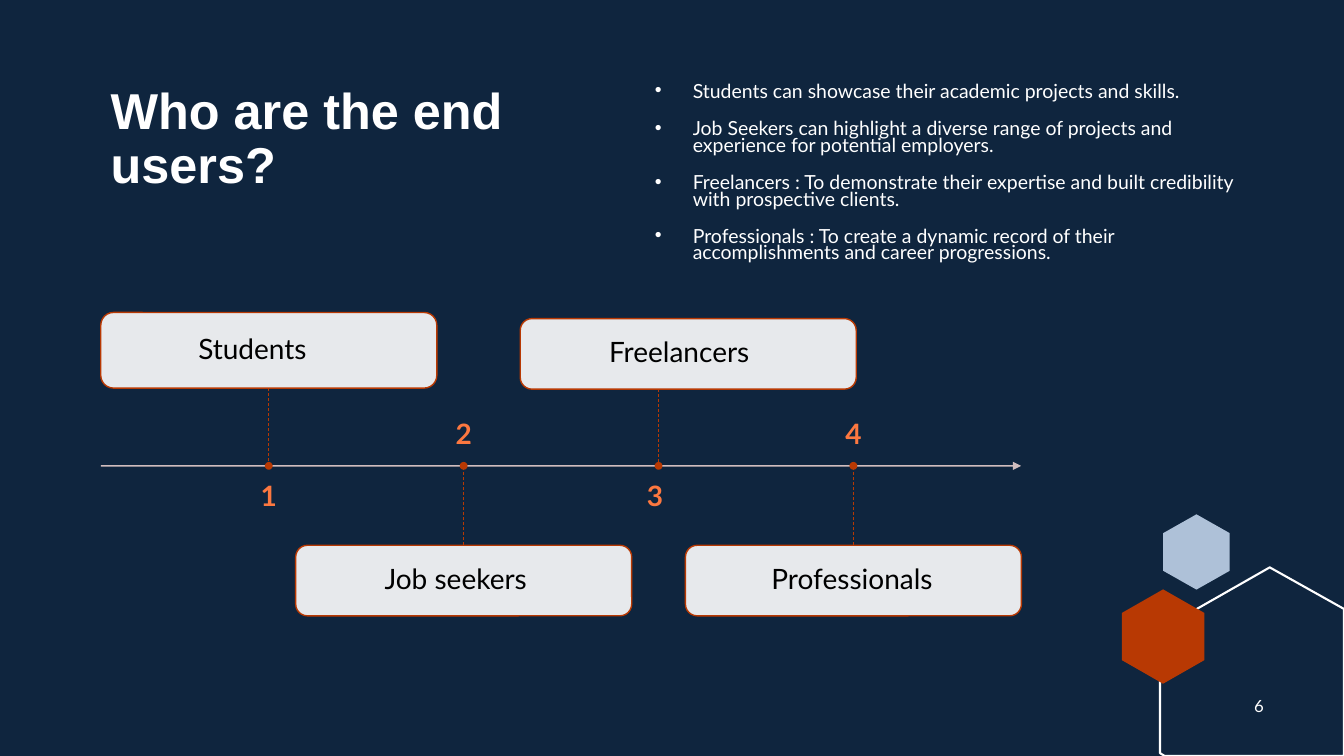
import pptx
import pptx.util
import pptx.dml.color
import pptx.enum.dml
import pptx.enum.shapes
import pptx.enum.text
import pptx.oxml
import pptx.oxml.ns

Pt = pptx.util.Pt
RGBColor = pptx.dml.color.RGBColor
Shape = pptx.enum.shapes.MSO_SHAPE
Align = pptx.enum.text.PP_ALIGN
Anchor = pptx.enum.text.MSO_ANCHOR
Dash = pptx.enum.dml.MSO_LINE

NAVY = RGBColor(0x0F, 0x25, 0x3E)
RUST = RGBColor(0xB8, 0x39, 0x03)
ORANGE = RGBColor(0xFC, 0x78, 0x40)
SKY = RGBColor(0xAE, 0xC1, 0xD8)
BLUSH = RGBColor(0xE6, 0xCE, 0xCC)
WHITE = RGBColor(0xFF, 0xFF, 0xFF)
BLACK = RGBColor(0x00, 0x00, 0x00)

BULLETS = [
    "Students can showcase their academic projects and skills.",
    "Job Seekers can highlight a diverse range of projects and experience for potential employers.",
    "Freelancers : To demonstrate their expertise and built credibility with prospective clients.",
    "Professionals : To create a dynamic record of their accomplishments and career progressions.",
]
# number, name, card top, card height, shift of card from its stop, text indent
STOPS = [
    ("1", "Students", 223.2, 54, 0, 67),
    ("2", "Job seekers", 389.5, 50.4, 0, 61),
    ("3 ", "Freelancers", 227.6, 50.4, 21.2, 61),
    ("4", "Professionals", 389.5, 50.4, 0, 59),
]
FIRST_STOP, STOP_GAP, AXIS_TOP = 192, 139.2, 332.8
CARD_WIDTH, NUMBER_WIDTH, DOT = 240, 211, 4.6


def add_xml(parent, tag, **attributes):
    child = pptx.oxml.parse_xml(f"<a:{tag} {pptx.oxml.ns.nsdecls('a')}/>")
    for name, value in attributes.items():
        child.set(name, value)
    parent.append(child)
    return child


def set_opacity(fill_parent, percent):
    color = fill_parent.find(".//" + pptx.oxml.ns.qn("a:srgbClr"))
    add_xml(color, "alpha", val=str(percent * 1000))


class Page:
    def __init__(self, deck):
        self.slide = deck.slides.add_slide(deck.slide_layouts[6])
        self.shapes = self.slide.shapes
        self.slide.background.fill.solid()
        self.slide.background.fill.fore_color.rgb = NAVY

    def paint(self, shape, fill=None, line=None, weight=1):
        shape.shadow.inherit = False
        if fill is None:
            shape.fill.background()
        else:
            shape.fill.solid()
            shape.fill.fore_color.rgb = fill
        if line is None:
            shape.line.fill.background()
        else:
            shape.line.color.rgb = line
            shape.line.width = Pt(weight)

    def set_text(self, shape, text, size, color, bold=False, font="Lato", align=Align.LEFT,
                 anchor=Anchor.TOP, spacing=0.9, margins=(7.2, 3.6, 7.2, 3.6)):
        """Fill a shape with text; margins run left, top, right, bottom."""
        frame = shape.text_frame
        frame.word_wrap = True
        frame.vertical_anchor = anchor
        (frame.margin_left, frame.margin_top,
         frame.margin_right, frame.margin_bottom) = map(Pt, margins)
        frame.text = text
        for para in frame.paragraphs:
            para.alignment = align
            para.line_spacing = spacing
            for span in para.runs:
                span.font.size = Pt(size)
                span.font.name = font
                span.font.bold = bold
                span.font.color.rgb = color
        return frame

    def text(self, left, top, width, height, text, size, color, **style):
        box = self.shapes.add_textbox(Pt(left), Pt(top), Pt(width), Pt(height))
        return self.set_text(box, text, size, color, **style)

    def bullets(self, left, top, width, height, items):
        frame = self.text(left, top, width, height, "\n".join(items), 13.9, WHITE, spacing=0.7)
        for para in frame.paragraphs:
            para.space_before = Pt(15)
            properties = para._p.get_or_add_pPr()
            properties.set("marL", str(Pt(27)))
            properties.set("indent", str(Pt(-27)))
            add_xml(properties, "buFont", typeface="Arial")
            add_xml(properties, "buChar", char="•")

    def outline(self, points, **style):
        corners = [(Pt(x), Pt(y)) for x, y in points]
        builder = self.shapes.build_freeform(*corners[0], scale=1)
        builder.add_line_segments(corners[1:], close=True)
        self.paint(builder.convert_to_shape(), **style)

    def hexagon(self, left, top, width, height, fill):
        middle, right = left + width / 2, left + width
        upper, lower = top + height / 4, top + height * 3 / 4
        self.outline([(middle, top), (right, upper), (right, lower),
                      (middle, top + height), (left, lower), (left, upper)], fill=fill)

    def line(self, start, end, color, weight, dash=None):
        connector = self.shapes.add_connector(
            pptx.enum.shapes.MSO_CONNECTOR.STRAIGHT, *map(Pt, start + end))
        connector.line.color.rgb = color
        connector.line.width = Pt(weight)
        if dash is not None:
            connector.line.dash_style = dash
        add_xml(connector._element.spPr, "effectLst")
        return connector

    def axis(self, left, right, top):
        connector = self.line((left, top), (right, top), BLUSH, 1)
        outline = connector.line._get_or_add_ln()
        set_opacity(outline, 90)
        add_xml(outline, "tailEnd", type="triangle")

    def card(self, center, top, height, name, indent):
        card = self.shapes.add_shape(Shape.ROUNDED_RECTANGLE, Pt(center - CARD_WIDTH / 2),
                                     Pt(top), Pt(CARD_WIDTH), Pt(height))
        self.paint(card, WHITE, RUST)
        set_opacity(card._element.spPr, 90)
        self.set_text(card, name, 20, BLACK, anchor=Anchor.MIDDLE, margins=(indent, 0, 0, 0))
        return card

    def dot(self, center, middle):
        dot = self.shapes.add_shape(Shape.OVAL, Pt(center - DOT / 2), Pt(middle - DOT / 2),
                                    Pt(DOT), Pt(DOT))
        self.paint(dot, RUST, RUST)

    def stop(self, center, number, name, top, height, shift, indent):
        """Draw one timeline stop: card, dashed link, dot and number."""
        card = self.card(center + shift, top, height, name, indent)
        above = top < AXIS_TOP
        card_edge = top + height if above else top
        link = self.line((center, card_edge), (center, AXIS_TOP), RUST, 0.5, Dash.DASH)
        if not shift:
            link.begin_connect(card, 2 if above else 0)
        self.dot(center, AXIS_TOP)
        self.text(center - NUMBER_WIDTH / 2, 344.2 if above else 287.5, NUMBER_WIDTH, 34,
                  number, 20, ORANGE, bold=True, align=Align.CENTER,
                  anchor=Anchor.TOP if above else Anchor.BOTTOM, margins=(0, 0, 0, 0))


def main():
    deck = pptx.Presentation()
    deck.slide_width, deck.slide_height = Pt(960), Pt(540)
    page = Page(deck)

    page.hexagon(830.9, 367.4, 47.5, 53.8, SKY)
    page.outline([(907, 405.3), (960, 435), (960, 540), (832, 540), (828.6, 538), (828.6, 450)],
                 line=WHITE, weight=1.5)
    page.hexagon(801.3, 421, 59, 67.4, RUST)

    page.text(72, 57.6, 367.2, 136.8, "Who are the end users?", 36, WHITE, bold=True, font="Arial")
    page.bullets(460.8, 57.6, 432, 136.8, BULLETS)

    page.axis(72, 729.4, AXIS_TOP)
    for index, stop in enumerate(STOPS):
        page.stop(FIRST_STOP + index * STOP_GAP, *stop)

    page.text(881.3, 489.6, 36, 28.8, "6", 12, WHITE, align=Align.CENTER,
              anchor=Anchor.MIDDLE, spacing=1.0)
    deck.save("out.pptx")


if __name__ == "__main__":
    main()
